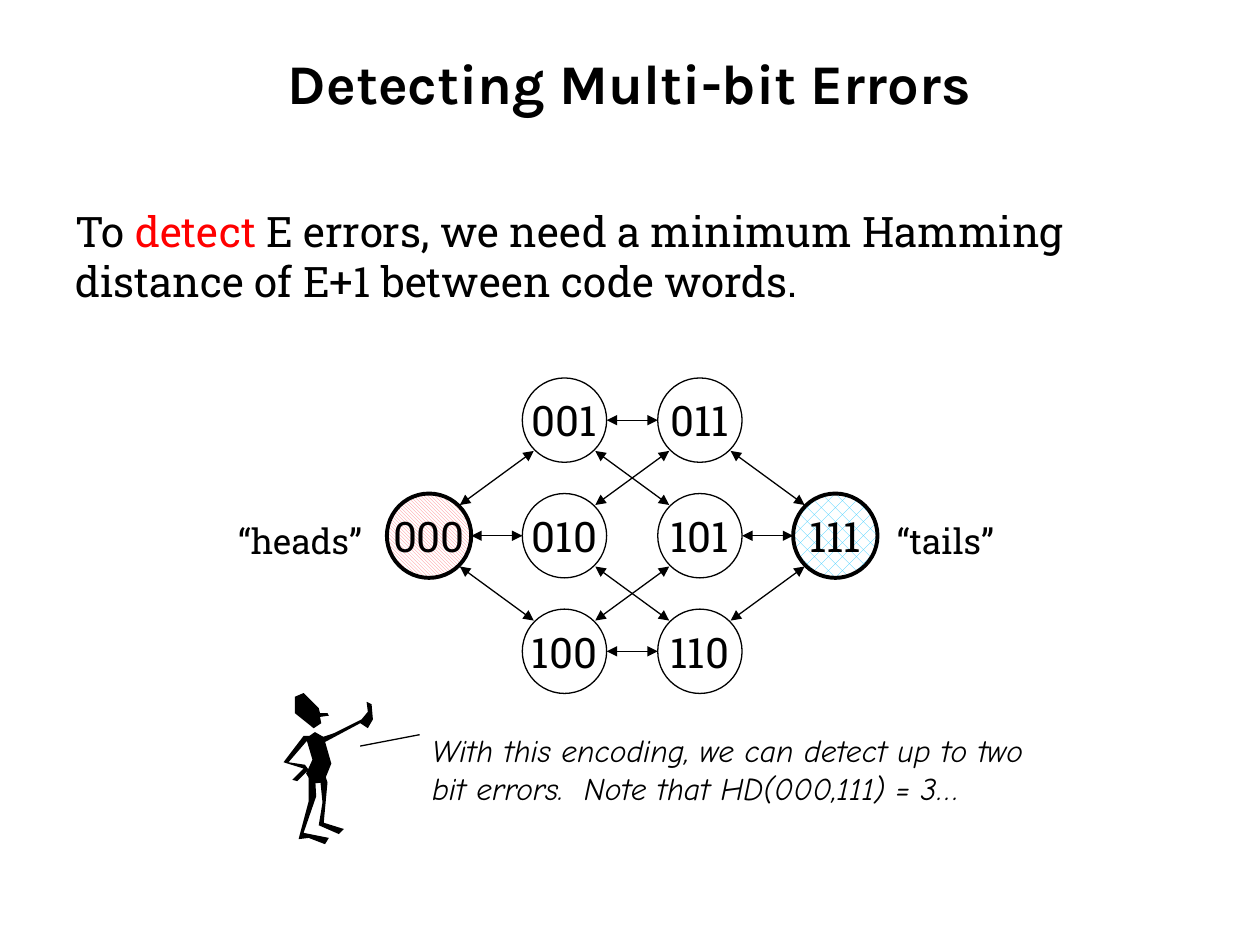
"""Build a slide on detecting multi-bit errors with a Hamming distance graph."""
from lxml.etree import SubElement
from pptx import Presentation
from pptx.dml.color import RGBColor
from pptx.enum.dml import MSO_PATTERN
from pptx.enum.shapes import MSO_CONNECTOR, MSO_SHAPE
from pptx.enum.text import MSO_ANCHOR as ANCHOR, PP_ALIGN as ALIGN
from pptx.oxml.ns import qn
from pptx.util import Cm, Pt

COLORS = {"black": "000000", "white": "FFFFFF", "red": "FF0000",
          "heads": "FF7C80", "tails": "33CCFF"}
HEADING, BODY, NOTE = "Karla", "Roboto Slab", "Comic Neue"

DIAMETER = 1.7
RADIUS = DIAMETER / 2
RIM = 0.62
GRID = [["000"], ["001", "010", "100"], ["011", "101", "110"], ["111"]]
CODE_WORDS = {
    "000": (MSO_PATTERN.DARK_DOWNWARD_DIAGONAL, "heads"),
    "111": (MSO_PATTERN.PERCENT_25, "tails"),
}

OUTLINE_UNIT = Cm(0.0254)
FIGURE = {
    "head": [(253, 562), (241, 550), (234, 553), (234, 566), (249, 578),
             (255, 574), (254, 569), (261, 568), (260, 566), (254, 566)],
    "body": [(257, 585), (250, 581), (243, 586), (248, 603), (243, 614),
             (248, 622), (257, 621), (263, 606)],
    "right arm": [(265, 582), (253, 586), (256, 590), (286, 574), (292, 578),
                  (296, 571), (295, 559), (291, 557), (292, 565), (287, 571)],
    "left arm": [(247, 584), (241, 584), (225, 605), (241, 610), (232, 619),
                 (236, 620), (245, 611), (242, 607), (229, 605)],
    "left leg": [(250, 615), (245, 615), (245, 636), (237, 666), (245, 665),
                 (258, 670), (261, 665), (241, 661), (251, 632)],
    "right leg": [(258, 615), (254, 617), (256, 637), (253, 655), (269, 662),
                  (273, 658), (257, 653), (260, 621)],
}


def rgb(name):
    """Return the named colour."""
    return RGBColor.from_string(COLORS[name])


def write_text(frame, *parts, font=BODY, size=24, bold=False, italic=False,
               align=ALIGN.LEFT, anchor=ANCHOR.TOP, wrap=True):
    """Fill a text frame with one paragraph of strings or (string, colour) pairs."""
    frame.word_wrap = wrap
    frame.vertical_anchor = anchor
    paragraph = frame.paragraphs[0]
    paragraph.alignment = align
    for part in parts:
        text, color = (part, "black") if isinstance(part, str) else part
        run = paragraph.add_run()
        run.text = text
        run.font.name = font
        run.font.size = Pt(size)
        run.font.bold = bold
        run.font.italic = italic
        run.font.color.rgb = rgb(color)


def add_text(slide, box, *parts, **text_format):
    """Add a text box at (left, top, width, height)."""
    shape = slide.shapes.add_textbox(*map(Cm, box))
    write_text(shape.text_frame, *parts, **text_format)


def add_line(slide, ends, arrows=True):
    """Add a thin line, with an arrowhead at both ends if wanted."""
    connector = slide.shapes.add_connector(MSO_CONNECTOR.STRAIGHT, *map(Cm, ends))
    connector.line.width = Pt(0.75)
    connector.line.color.rgb = rgb("black")
    if arrows:
        outline = connector._element.spPr.find(qn("a:ln"))
        for end in ("a:headEnd", "a:tailEnd"):
            SubElement(outline, qn(end), type="triangle")
    SubElement(connector._element.spPr, qn("a:effectLst"))


def node_centers():
    """Return the centre of each bit word, columns centred on the middle row."""
    return {word: (8.65 + 2.73 * column, 10.8 + 2.33 * (row - (len(words) - 1) / 2))
            for column, words in enumerate(GRID) for row, word in enumerate(words)}


def add_node(slide, word, center):
    """Add the circle of one bit word, patterned if it is a code word."""
    x, y = center
    box = (x - RADIUS, y - RADIUS, DIAMETER, DIAMETER)
    shape = slide.shapes.add_shape(MSO_SHAPE.OVAL, *map(Cm, box))
    shape.shadow.inherit = False
    shape.line.color.rgb = rgb("black")
    shape.line.width = Pt(2.25 if word in CODE_WORDS else 0.75)
    if word in CODE_WORDS:
        pattern, color = CODE_WORDS[word]
        shape.fill.patterned()
        shape.fill.pattern = pattern
        shape.fill.fore_color.rgb = rgb(color)
        shape.fill.back_color.rgb = rgb("white")
    else:
        shape.fill.background()
    write_text(shape.text_frame, word, align=ALIGN.CENTER, anchor=ANCHOR.MIDDLE,
               wrap=False)


def differ_by_one(first, second):
    """Tell whether two words have a Hamming distance of one."""
    return sum(a != b for a, b in zip(first, second)) == 1


def edge_ends(start, end):
    """Return the rim points of an edge running left to right."""
    (start_x, start_y), (end_x, end_y) = start, end
    slope = (end_y > start_y) - (end_y < start_y)
    reach = RIM if slope else RADIUS
    return (start_x + reach, start_y + slope * RIM,
            end_x - reach, end_y - slope * RIM)


def add_graph(slide):
    """Add all nodes and the edges between neighbouring columns."""
    centers = node_centers()
    for word, center in centers.items():
        add_node(slide, word, center)
    for left_words, right_words in zip(GRID, GRID[1:]):
        for left in left_words:
            for right in right_words:
                if differ_by_one(left, right):
                    add_line(slide, edge_ends(centers[left], centers[right]))


def add_outline(slide, points):
    """Add a closed black outline."""
    builder = slide.shapes.build_freeform(*points[0], scale=OUTLINE_UNIT)
    builder.add_line_segments(points[1:], close=True)
    shape = builder.convert_to_shape()
    shape.shadow.inherit = False
    shape.fill.solid()
    shape.fill.fore_color.rgb = rgb("black")
    shape.line.fill.background()


def main():
    """Build and save the slide."""
    presentation = Presentation()
    presentation.slide_width, presentation.slide_height = Cm(25.4), Cm(19.05)
    slide = presentation.slides.add_slide(presentation.slide_layouts[6])
    add_text(slide, (1.27, 0.76, 22.86, 1.78), "Detecting Multi-bit Errors",
             font=HEADING, size=32, bold=True, align=ALIGN.CENTER, anchor=ANCHOR.MIDDLE)
    add_text(slide, (1.27, 4.01, 22.86, 2.31), "To ", ("detect", "red"),
             " E errors, we need a minimum Hamming distance of E+1 between code words.")
    add_graph(slide)
    add_text(slide, (4.55, 10.34, 3.35, 1.12), "“heads”", size=20)
    add_text(slide, (17.83, 10.34, 2.72, 1.12), "“tails”", size=20)
    add_text(slide, (8.46, 14.61, 12.9, 2.57),
             "With this encoding, we can detect up to two bit errors.  "
             "Note that HD(000,111) = 3…", font=NOTE, size=18, italic=True)
    add_line(slide, (7.26, 15.04, 8.46, 14.81), arrows=False)
    for points in FIGURE.values():
        add_outline(slide, points)
    presentation.save("out.pptx")


if __name__ == "__main__":
    main()
